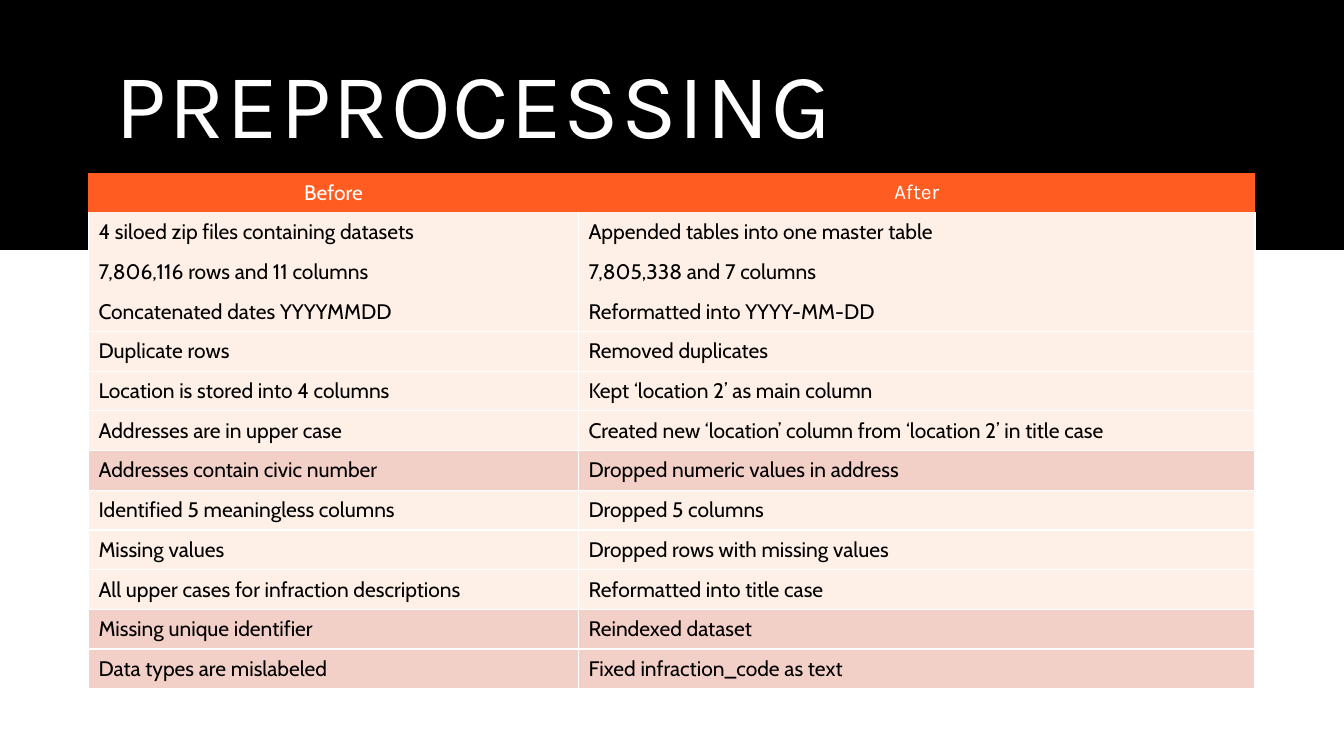
from pptx import Presentation
from pptx.dml.color import RGBColor as RGB
from pptx.enum.shapes import MSO_SHAPE as SHAPE
from pptx.enum.text import MSO_ANCHOR as ANCHOR, MSO_AUTO_SIZE as AUTOSIZE, PP_ALIGN as ALIGN
from pptx.oxml import parse_xml
from pptx.oxml.ns import nsdecls
from pptx.util import Pt

TITLE = "PREPROCESSING"
HEADERS = [("Before", "Cabin"), ("After", "Karla")]
STEPS = [
    ("4 siloed zip files containing datasets", "Appended tables into one master table"),
    ("7,806,116 rows and 11 columns", "7,805,338 and 7 columns"),
    ("Concatenated dates YYYYMMDD", "Reformatted into YYYY-MM-DD"),
    ("Duplicate rows", "Removed duplicates"),
    ("Location is stored into 4 columns", "Kept ‘location 2’ as main column"),
    ("Addresses are in upper case",
     "Created new ‘location’ column from ‘location 2’ in title case"),
    ("Addresses contain civic number", "Dropped numeric values in address"),
    ("Identified 5 meaningless columns", "Dropped 5 columns"),
    ("Missing values", "Dropped rows with missing values"),
    ("All upper cases for infraction descriptions", "Reformatted into title case"),
    ("Missing unique identifier", "Reindexed dataset"),
    ("Data types are mislabeled", "Fixed infraction_code as text"),
]
HIGHLIGHTED = {7, 11, 12}
UNRULED = 3  # the first steps form one block without lines between them

THEME = {
    "black": "000000", "white": "FFFFFF", "header": "FF5C21",
    "row": "FEEFE7", "highlight": "F2D0C7",
    "title_font": "Karla", "body_font": "Cabin",
    "title_size": 66, "body_size": 15,
}
SLIDE_W, SLIDE_H = 960, 540
BAND_H = 178.5
TITLE_BOX = {"left": 75.6, "top": 10.8, "width": 799.2, "height": 133.7}
TABLE_LEFT, TABLE_TOP = 63.2, 123.4
COL_WIDTHS = [350, 483.2]
ROW_H = 28.35


def colour(name):
    return RGB.from_string(THEME[name])


def style(p, font, size, color, align=ALIGN.LEFT):
    p.alignment = align
    formats = {"name": THEME.get(font, font), "size": Pt(THEME[size]), "bold": False}
    r = p.runs[0]
    for key, value in formats.items():
        setattr(r.font, key, value)
    r.font.color.rgb = colour(color)
    return r


def set_borders(cell, drawn):
    """Draw thin white lines on the sides in drawn and none on the others."""
    pr = cell._tc.get_or_add_tcPr()
    for i, side in enumerate("LRTB"):
        fill = (f'<a:solidFill><a:srgbClr val="{THEME["white"]}"/></a:solidFill>'
                if side in drawn else "<a:noFill/>")
        pr.insert(i, parse_xml(f'<a:ln{side} {nsdecls("a")} w="12700">{fill}</a:ln{side}>'))


def add_band(slide):
    sp = slide.shapes.add_shape(SHAPE.RECTANGLE, 0, 0, Pt(SLIDE_W), Pt(BAND_H))
    sp.shadow.inherit = False
    sp.fill.solid()
    sp.fill.fore_color.rgb = colour("black")
    sp.line.fill.background()
    slide.shapes._spTree.insert(2, sp._element)


def add_title(slide):
    sp = slide.shapes.title
    for key, value in TITLE_BOX.items():
        setattr(sp, key, Pt(value))
    tf = sp.text_frame
    tf.text = TITLE
    tf.auto_size = AUTOSIZE.NONE
    tf.vertical_anchor = ANCHOR.MIDDLE
    p = tf.paragraphs[0]
    p.line_spacing = 0.9
    r = style(p, "title_font", "title_size", "white")
    r.font._element.set("spc", "120")


def fill_cell(cell, text, fill, borders, *text_style):
    cell.text = text
    cell.vertical_anchor = ANCHOR.MIDDLE
    cell.fill.solid()
    cell.fill.fore_color.rgb = colour(fill)
    set_borders(cell, borders)
    style(cell.text_frame.paragraphs[0], *text_style)


def add_steps(slide):
    rows = len(STEPS) + 1
    table = slide.shapes.add_table(rows, len(COL_WIDTHS), Pt(TABLE_LEFT), Pt(TABLE_TOP),
                                   Pt(sum(COL_WIDTHS)), Pt(ROW_H * rows)).table
    table.horz_banding = False
    for col, width in zip(table.columns, COL_WIDTHS):
        col.width = Pt(width)
    for row in table.rows:
        row.height = Pt(ROW_H)
    for c, (text, font) in enumerate(HEADERS):
        fill_cell(table.cell(0, c), text, "header", "", font, "body_size", "white", ALIGN.CENTER)
    for n, step in enumerate(STEPS, 1):
        fill = "highlight" if n in HIGHLIGHTED else "row"
        borders = "LR" + ("T" if n > UNRULED else "") + ("B" if n >= UNRULED else "")
        for c, text in enumerate(step):
            fill_cell(table.cell(n, c), text, fill, borders, "body_font", "body_size", "black")


def main():
    prs = Presentation()
    prs.slide_width, prs.slide_height = Pt(SLIDE_W), Pt(SLIDE_H)
    slide = prs.slides.add_slide(prs.slide_layouts[5])
    add_band(slide)
    add_title(slide)
    add_steps(slide)
    prs.save("out.pptx")


if __name__ == "__main__":
    main()
